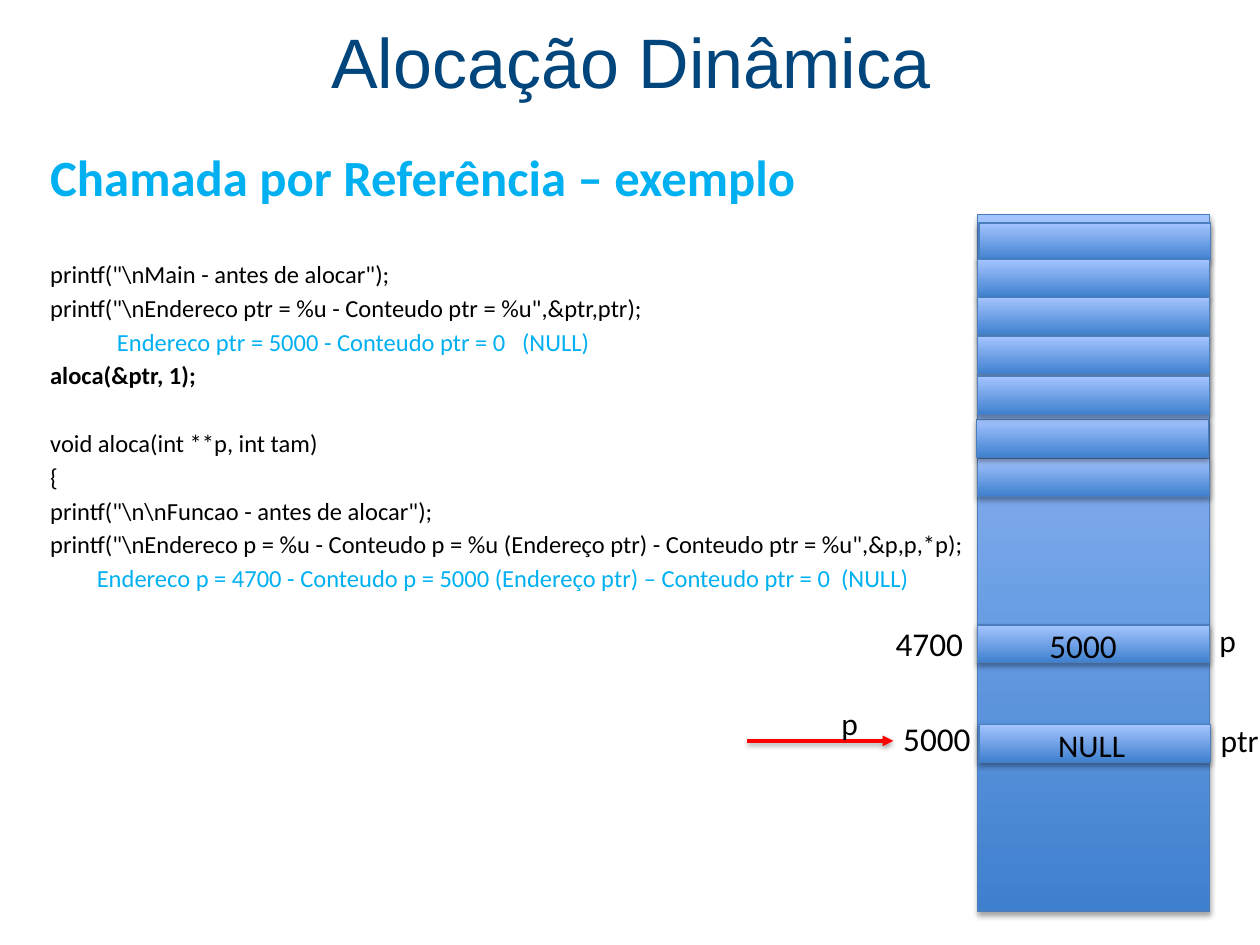
from lxml.etree import SubElement
from pptx import Presentation
from pptx.dml.color import RGBColor
from pptx.enum.shapes import MSO_CONNECTOR as CONNECTOR, MSO_SHAPE as SHAPE
from pptx.enum.text import MSO_ANCHOR as ANCHOR, PP_ALIGN as ALIGN
from pptx.oxml.ns import qn
from pptx.util import Inches, Pt

BLACK, CYAN, NAVY, RED = "000000", "00B0F0", "00457C", "FF0000"
CELL_DARK, CELL_LIGHT, CELL_EDGE = "3F80CE", "A4C4FF", "4B7EBC"
LINE_GAP, SECTION_GAP = 2.5, 21.8

CODE = [
    ("Chamada por Referência – exemplo", dict(size=29, color=CYAN, bold=True)),
    (r'printf("\nMain - antes de alocar");', dict(before=29.8)),
    (r'printf("\nEndereco ptr = %u - Conteudo ptr = %u",&ptr,ptr);', {}),
    ("Endereco ptr = 5000 - Conteudo ptr = 0   (NULL)", dict(color=CYAN, indent=0.53)),
    ("aloca(&ptr, 1);", dict(bold=True)),
    ("void aloca(int **p, int tam)", dict(before=SECTION_GAP)),
    ("{", {}),
    (r'printf("\n\nFuncao - antes de alocar");', {}),
    (r'printf("\nEndereco p = %u - Conteudo p = %u (Endereço ptr)'
     r' - Conteudo ptr = %u",&p,p,*p);', {}),
    ("Endereco p = 4700 - Conteudo p = 5000 (Endereço ptr) – Conteudo ptr = 0  (NULL)",
     dict(color=CYAN, indent=0.37)),
]

# Left and top of each memory cell, from back to front
CELLS = [(7.77, 1.77), (7.76, 2.06), (7.76, 2.36), (7.76, 2.67), (7.76, 3.64),
         (7.75, 3.33), (7.76, 2.99), (7.76, 4.96), (7.77, 5.75)]
CELL_WIDTH, CELL_HEIGHT = 1.84, 0.3

# Text, box and format of each label around the memory
LABELS = [
    ("ptr", (9.31, 5.67, 1, 0.4), dict(size=18, indent=0.28)),
    ("NULL", (8.3, 5.71, 1.19, 0.4), dict(size=18)),
    ("5000", (7.07, 5.65, 0.85, 0.4), dict(size=19)),
    ("p", (9.3, 4.88, 1, 0.4), dict(size=18, indent=0.28)),
    ("4700", (7.01, 4.9, 0.85, 0.4), dict(size=19)),
    ("5000", (8.23, 4.91, 0.85, 0.4), dict(size=19)),
]
POINTER_LABEL = ("p", (6.35, 5.54, 0.62, 0.4), dict(size=18, indent=0.23))


def rgb(color):
    return RGBColor.from_string(color)


def write(paragraph, text, size=14, font="Calibri", color=BLACK, bold=False,
          align=ALIGN.LEFT, before=0, indent=0):
    paragraph.alignment = align
    paragraph.space_before = Pt(before)
    if indent:
        properties = paragraph._p.get_or_add_pPr()
        properties.set("marL", str(Inches(indent)))
        properties.set("indent", "0")
    run = paragraph.add_run()
    run.text = text
    run.font.size = Pt(size)
    run.font.name = font
    run.font.bold = bold
    run.font.color.rgb = rgb(color)


def add_frame(slide, box, anchor=ANCHOR.TOP):
    frame = slide.shapes.add_textbox(*map(Inches, box)).text_frame
    frame.word_wrap = True
    frame.vertical_anchor = anchor
    return frame


def add_label(slide, text, box, style, anchor=ANCHOR.TOP):
    write(add_frame(slide, box, anchor).paragraphs[0], text, **style)


def add_code(slide):
    frame = add_frame(slide, (0.3, 1.11, 9.7, 6.11))
    for number, (text, style) in enumerate(CODE):
        paragraph = frame.add_paragraph() if number else frame.paragraphs[0]
        gap = LINE_GAP if number else 0
        write(paragraph, text, **{"before": gap, **style})


def add_shadow(effects, opacity, distance):
    """Put a soft black shadow, cast downwards, into an effect list."""
    shadow = SubElement(effects, qn("a:outerShdw"), blurRad=str(Pt(3.1)),
                        dist=str(Pt(distance)), dir="5400000", rotWithShape="0")
    black = SubElement(shadow, qn("a:srgbClr"), val=BLACK)
    SubElement(black, qn("a:alpha"), val=str(opacity * 1000))


def add_memory_block(slide, *box):
    block = slide.shapes.add_shape(SHAPE.RECTANGLE, *map(Inches, box))
    block.fill.gradient()
    block.fill.gradient_angle = 90
    for stop, color in zip(block.fill.gradient_stops, (CELL_DARK, CELL_LIGHT)):
        stop.color.rgb = rgb(color)
    for stop, position in zip(block.fill.gradient_stops, (0, 1)):
        stop.position = position
    block.line.color.rgb = rgb(CELL_EDGE)
    block.line.width = Pt(0.75)
    block.shadow.inherit = False
    add_shadow(block._element.spPr.find(qn("a:effectLst")), 35, 1.8)


def add_arrow(slide, *ends):
    arrow = slide.shapes.add_connector(CONNECTOR.STRAIGHT, *map(Inches, ends))
    arrow.line.color.rgb = rgb(RED)
    arrow.line.width = Pt(2)
    SubElement(arrow.line._get_or_add_ln(), qn("a:tailEnd"), type="triangle")
    add_shadow(SubElement(arrow._element.spPr, qn("a:effectLst")), 38, 1.6)


def main():
    deck = Presentation()
    deck.slide_width, deck.slide_height = Inches(10), Inches(7.5)
    slide = deck.slides.add_slide(deck.slide_layouts[6])

    add_code(slide)
    add_label(slide, "Alocação Dinâmica", (0.35, 0.03, 9.31, 0.9),
              dict(size=40, font="Arial", color=NAVY, align=ALIGN.CENTER), ANCHOR.MIDDLE)
    add_memory_block(slide, 7.76, 1.7, CELL_WIDTH, 5.53)
    for left, top in CELLS:
        add_memory_block(slide, left, top, CELL_WIDTH, CELL_HEIGHT)
    for label in LABELS:
        add_label(slide, *label)
    add_arrow(slide, 5.93, 5.88, 7.09, 5.88)
    add_label(slide, *POINTER_LABEL)
    deck.save("out.pptx")


if __name__ == "__main__":
    main()
